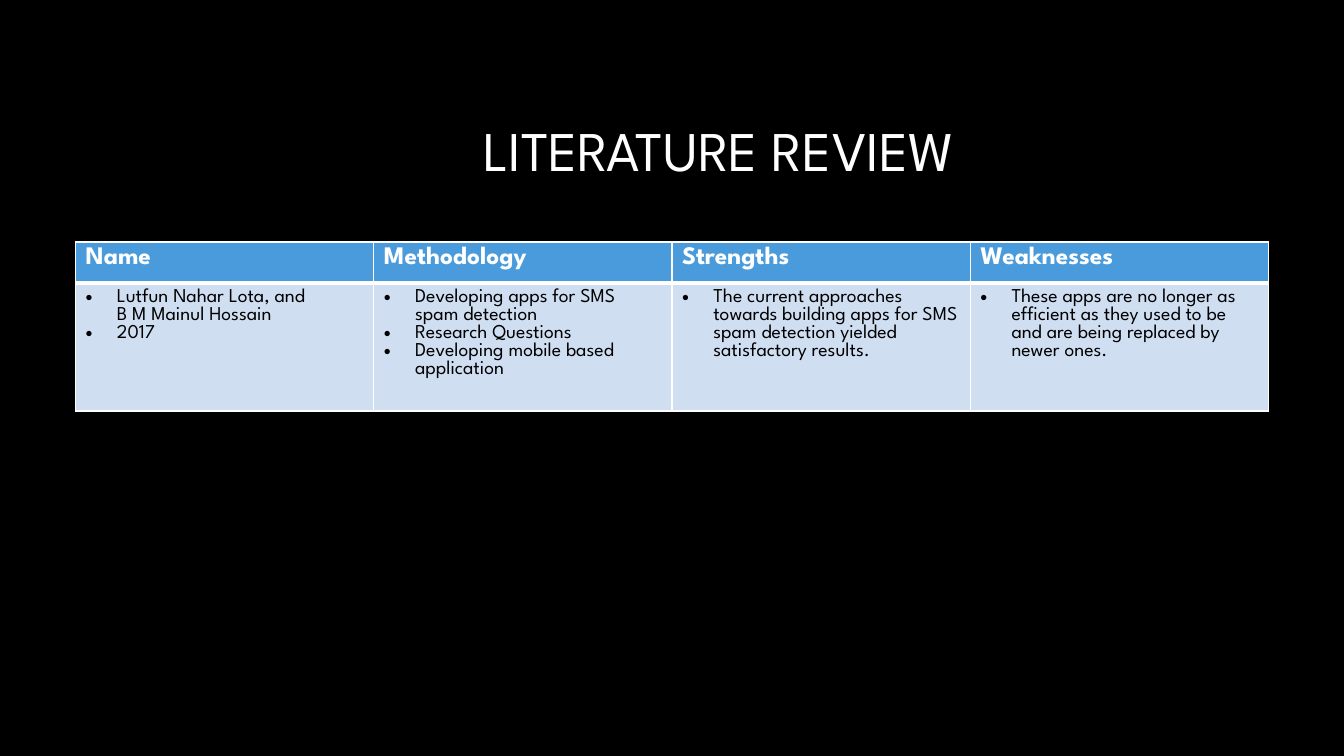
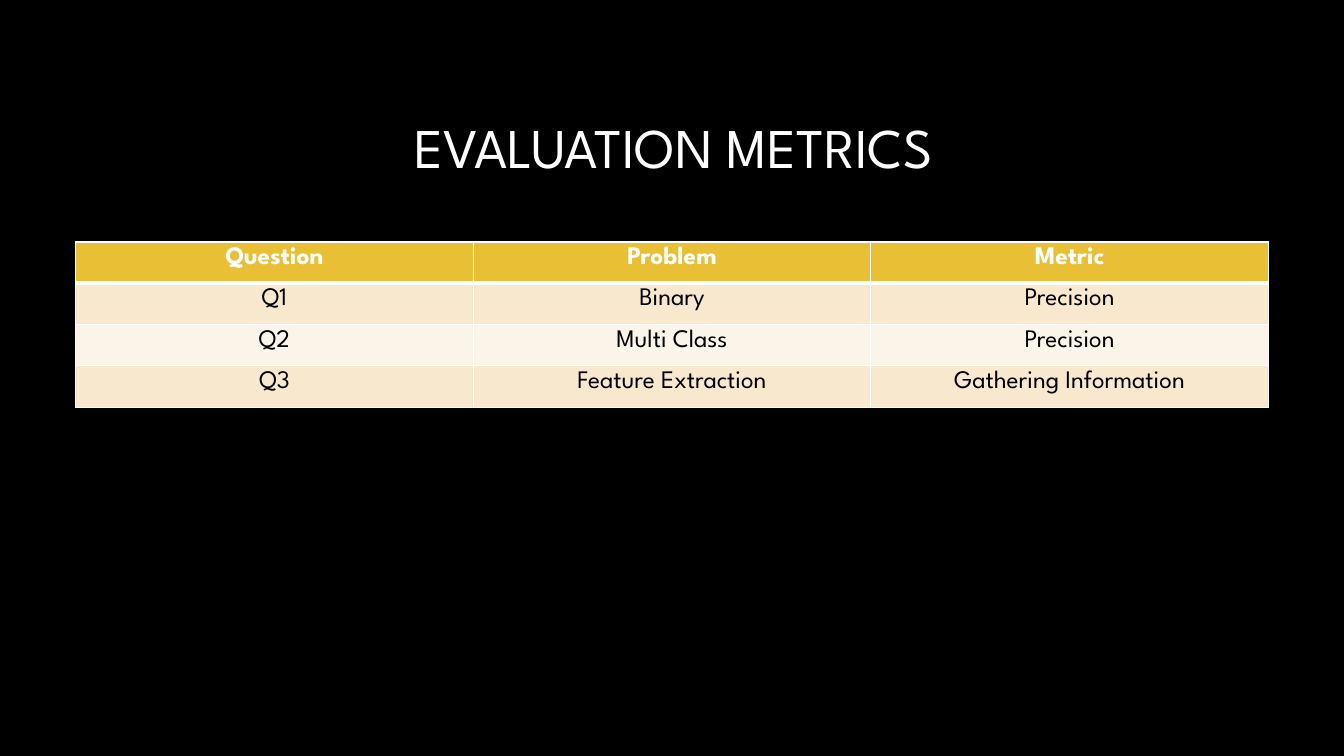
from copy import deepcopy

from lxml import etree
from pptx import Presentation
from pptx.dml.color import RGBColor
from pptx.enum.text import MSO_ANCHOR, PP_ALIGN
from pptx.oxml.ns import qn
from pptx.util import Inches, Pt

LEFT, CENTER = PP_ALIGN.LEFT, PP_ALIGN.CENTER
MIDDLE = MSO_ANCHOR.MIDDLE

FONT = "League Spartan"
BLACK = RGBColor(0x00, 0x00, 0x00)
WHITE = RGBColor(0xFF, 0xFF, 0xFF)
BLUE = RGBColor(0x4A, 0x9B, 0xDC)
PALE_BLUE = RGBColor(0xD0, 0xDE, 0xF2)
GOLD = RGBColor(0xE9, 0xBF, 0x35)
CREAM = RGBColor(0xF7, 0xE8, 0xCE)
PALE_CREAM = RGBColor(0xFB, 0xF4, 0xE8)

TABLE_LEFT, TABLE_TOP, TABLE_WIDTH = 0.75, 2.4, 11.83
ROW_HEIGHT = 0.41
BULLET_INDENT = Inches(0.31)

# Each cell is a list of paragraphs.
SLIDES = [
    {
        "title": "LITERATURE REVIEW",
        "title_at": (2.42, 0.82),
        "header_fill": BLUE,
        "body_fills": [PALE_BLUE],
        "body_height": 1.19,
        "body_size": 14,
        "align": LEFT,
        "bullets": True,
        "rows": [
            [["Name"], ["Methodology"], ["Strengths"], ["Weaknesses"]],
            [
                ["Lutfun Nahar Lota, and\nB M Mainul Hossain", "2017"],
                ["Developing apps for SMS spam detection", "Research Questions",
                 "Developing mobile based application"],
                ["The current approaches towards building apps for SMS spam "
                 "detection yielded satisfactory results."],
                ["These apps are no longer as efficient as they used to be and "
                 "are being replaced by newer ones."],
            ],
        ],
    },
    {
        "title": "EVALUATION METRICS",
        "title_at": (1.97, 0.79),
        "header_fill": GOLD,
        "body_fills": [CREAM, PALE_CREAM],
        "body_height": ROW_HEIGHT,
        "body_size": 18,
        "align": CENTER,
        "bullets": False,
        "rows": [
            [["Question"], ["Problem"], ["Metric"]],
            [["Q1"], ["Binary"], ["Precision"]],
            [["Q2"], ["Multi Class"], ["Precision"]],
            [["Q3"], ["Feature Extraction"], ["Gathering Information"]],
        ],
    },
]


def add_text(paragraph, text, size, color, bold=False):
    """Add one run per line, with a line break of the same size between them."""
    for number, line in enumerate(text.split("\n")):
        if number:
            line_break = paragraph._p.add_br()
            line_break.append(deepcopy(run._r.rPr))
        run = paragraph.add_run()
        run.text = line
        run.font.name = FONT
        run.font.size = Pt(size)
        run.font.bold = bold
        run.font.color.rgb = color


def set_borders(cell, top, bottom):
    """Draw white cell borders; top and bottom are widths in points."""
    properties = cell._tc.get_or_add_tcPr()
    widths = {"a:lnL": 1, "a:lnR": 1, "a:lnT": top, "a:lnB": bottom}
    for position, (tag, width) in enumerate(widths.items()):
        line = etree.Element(qn(tag), w=str(Pt(width)))
        fill = etree.SubElement(line, qn("a:solidFill"))
        etree.SubElement(fill, qn("a:srgbClr"), val=str(WHITE))
        properties.insert(position, line)


presentation = Presentation()
presentation.slide_width = Inches(13.33)
presentation.slide_height = Inches(7.5)
blank_layout = presentation.slide_layouts[6]

for content in SLIDES:
    slide = presentation.slides.add_slide(blank_layout)
    slide.background.fill.solid()
    slide.background.fill.fore_color.rgb = BLACK

    title_left, title_top = content["title_at"]
    title = slide.shapes.add_textbox(
        Inches(title_left), Inches(title_top), Inches(9.42), Inches(1.41))
    title.text_frame.word_wrap = True
    title.text_frame.vertical_anchor = MIDDLE
    paragraph = title.text_frame.paragraphs[0]
    paragraph.alignment = CENTER
    paragraph.line_spacing = 0.9
    add_text(paragraph, content["title"], 40, WHITE)

    rows = content["rows"]
    body_fills = content["body_fills"]
    heights = [ROW_HEIGHT] + [content["body_height"]] * (len(rows) - 1)
    table = slide.shapes.add_table(
        len(rows), len(rows[0]), Inches(TABLE_LEFT), Inches(TABLE_TOP),
        Inches(TABLE_WIDTH), Inches(sum(heights))).table

    for row_index, row in enumerate(rows):
        table.rows[row_index].height = Inches(heights[row_index])
        is_header = row_index == 0
        if is_header:
            fill, size, color = content["header_fill"], 18, WHITE
        else:
            fill = body_fills[(row_index - 1) % len(body_fills)]
            size, color = content["body_size"], BLACK

        for column_index, texts in enumerate(row):
            cell = table.cell(row_index, column_index)
            cell.fill.solid()
            cell.fill.fore_color.rgb = fill
            set_borders(cell, top=3 if row_index == 1 else 1,
                        bottom=3 if is_header else 1)
            for text_index, text in enumerate(texts):
                if text_index:
                    paragraph = cell.text_frame.add_paragraph()
                else:
                    paragraph = cell.text_frame.paragraphs[0]
                paragraph.alignment = content["align"]
                if content["bullets"] and not is_header:
                    properties = paragraph._p.get_or_add_pPr()
                    properties.set("marL", str(BULLET_INDENT))
                    properties.set("indent", str(-BULLET_INDENT))
                    etree.SubElement(properties, qn("a:buFont"), typeface="Arial")
                    etree.SubElement(properties, qn("a:buChar"), char="•")
                add_text(paragraph, text, size, color, bold=is_header)

presentation.save("out.pptx")
